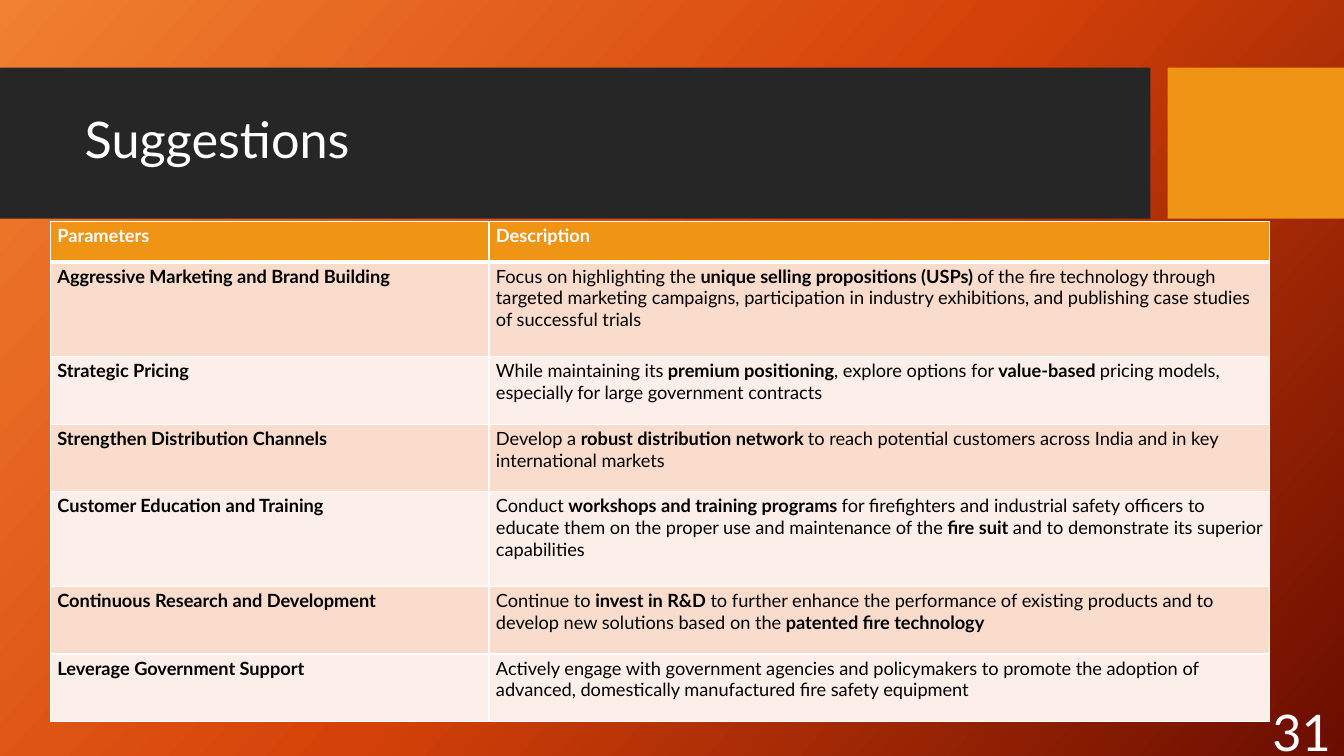
from copy import deepcopy

from lxml.etree import SubElement
from pptx import Presentation
from pptx.dml.color import RGBColor
from pptx.enum.shapes import MSO_SHAPE
from pptx.enum.text import MSO_ANCHOR, PP_ALIGN
from pptx.oxml.ns import qn
from pptx.util import Inches, Pt

FONT = "Lato"
WHITE = RGBColor(0xFF, 0xFF, 0xFF)
BLACK = RGBColor(0x00, 0x00, 0x00)
CHARCOAL = RGBColor(0x26, 0x26, 0x26)
AMBER = RGBColor(0xF0, 0x94, 0x15)
PEACH = RGBColor(0xF9, 0xDC, 0xCC)
PALE_PEACH = RGBColor(0xFC, 0xEE, 0xE8)
BACKGROUND_STOPS = [
    (0, RGBColor(0xF1, 0x80, 0x31)),
    (0.5, RGBColor(0xD5, 0x42, 0x09)),
    (1, RGBColor(0x6A, 0x0D, 0x00)),
]

COLUMN_WIDTHS = [4.35, 7.74]
ROW_HEIGHTS = [0.4, 0.94, 0.67, 0.67, 0.94, 0.67, 0.67]
HEADINGS = ["Parameters", "Description"]
# Text between asterisks is bold
SUGGESTIONS = [
    ("Aggressive Marketing and Brand Building",
     "Focus on highlighting the *unique selling propositions (USPs) *of the fire technology "
     "through targeted marketing campaigns, participation in industry exhibitions, and "
     "publishing case studies of successful trials"),
    ("Strategic Pricing",
     "While maintaining its *premium positioning*, explore options for *value-based *pricing "
     "models, especially for large government contracts"),
    ("Strengthen Distribution Channels",
     "Develop a *robust distribution network *to reach potential customers across India and "
     "in key international markets"),
    ("Customer Education and Training",
     "Conduct *workshops and training programs *for firefighters and industrial safety "
     "officers to educate them on the proper use and maintenance of the *fire suit *and to "
     "demonstrate its superior capabilities"),
    ("Continuous Research and Development",
     "Continue to *invest in R&D* to further enhance the performance of existing products "
     "and to develop new solutions based on the *patented fire technology*"),
    ("Leverage Government Support",
     "Actively engage with government agencies and policymakers to promote the adoption of "
     "advanced, domestically manufactured fire safety equipment"),
]


def format_font(font, size, color, bold=False):
    font.name = FONT
    font.size = Pt(size)
    font.color.rgb = color
    font.bold = bold


def paint_background(slide):
    fill = slide.background.fill
    fill.gradient()
    fill.gradient_angle = 318
    stop_list = next(slide.element.iter(qn("a:gsLst")))
    stop_list.append(deepcopy(stop_list[0]))
    for stop, (position, color) in zip(fill.gradient_stops, BACKGROUND_STOPS):
        stop.position = position
        stop.color.rgb = color


def add_block(slide, left, top, width, height, color):
    shape = slide.shapes.add_shape(
        MSO_SHAPE.RECTANGLE, Inches(left), Inches(top), Inches(width), Inches(height))
    shape.shadow.inherit = False
    shape.fill.solid()
    shape.fill.fore_color.rgb = color
    shape.line.fill.background()
    return shape


def add_title_band(slide, top, height):
    # Dark band and amber tab, kept behind the title
    band = add_block(slide, 0, top, 11.41, height, CHARCOAL)
    tab = add_block(slide, 11.58, top, 1.75, height, AMBER)
    title = slide.shapes.title
    tab.element.addnext(title.element)

    title.left, title.top = Inches(0.74), Inches(top + 0.15)
    title.width, title.height = band.width - Inches(0.9), Inches(1.18)
    text_frame = title.text_frame
    text_frame.text = "Suggestions"
    text_frame.vertical_anchor = MSO_ANCHOR.MIDDLE
    paragraph = text_frame.paragraphs[0]
    paragraph.alignment = PP_ALIGN.LEFT
    paragraph.line_spacing = 0.9
    format_font(paragraph.runs[0].font, 36, WHITE)


def set_borders(cell, top_width, bottom_width):
    properties = cell._tc.get_or_add_tcPr()
    widths = [("a:lnL", 1), ("a:lnR", 1), ("a:lnT", top_width), ("a:lnB", bottom_width)]
    for index, (tag, width) in enumerate(widths):
        line = SubElement(properties, qn(tag), w=str(Pt(width)))
        solid_fill = SubElement(line, qn("a:solidFill"))
        SubElement(solid_fill, qn("a:srgbClr"), val=str(WHITE))
        properties.insert(index, line)


def fill_cell(cell, marked_text, color, text_color):
    cell.margin_left = cell.margin_right = Inches(0.07)
    cell.margin_top = cell.margin_bottom = Inches(0.03)
    cell.fill.solid()
    cell.fill.fore_color.rgb = color
    paragraph = cell.text_frame.paragraphs[0]
    for index, part in enumerate(marked_text.split("*")):
        if part:
            run = paragraph.add_run()
            run.text = part
            format_font(run.font, 13, text_color, bold=index % 2 == 1)


def add_suggestions_table(slide, left, top):
    rows = [[f"*{heading}*" for heading in HEADINGS]]
    rows += [[f"*{parameter}*", description] for parameter, description in SUGGESTIONS]
    table = slide.shapes.add_table(
        len(rows), len(COLUMN_WIDTHS), Inches(left), Inches(top),
        Inches(sum(COLUMN_WIDTHS)), Inches(sum(ROW_HEIGHTS))).table
    for column, width in zip(table.columns, COLUMN_WIDTHS):
        column.width = Inches(width)
    for row, height in zip(table.rows, ROW_HEIGHTS):
        row.height = Inches(height)

    for row_index, texts in enumerate(rows):
        is_header = row_index == 0
        band_color = PEACH if row_index % 2 else PALE_PEACH
        for column_index, text in enumerate(texts):
            cell = table.cell(row_index, column_index)
            fill_cell(cell, text, AMBER if is_header else band_color,
                      WHITE if is_header else BLACK)
            # The rule below the header is thicker
            set_borders(cell, 3 if row_index == 1 else 1, 3 if is_header else 1)


def add_page_number(slide, left, top, width, height):
    box = slide.shapes.add_textbox(Inches(left), Inches(top), Inches(width), Inches(height))
    text_frame = box.text_frame
    text_frame.word_wrap = True
    text_frame.vertical_anchor = MSO_ANCHOR.MIDDLE
    text_frame.text = "31"
    format_font(text_frame.paragraphs[0].runs[0].font, 36, WHITE)


def main():
    presentation = Presentation()
    presentation.slide_width = Inches(13.33)
    presentation.slide_height = Inches(7.5)
    slide = presentation.slides.add_slide(presentation.slide_layouts.get_by_name("Title Only"))
    paint_background(slide)
    add_title_band(slide, top=0.67, height=1.5)
    add_suggestions_table(slide, left=0.5, top=2.2)
    add_page_number(slide, left=12.52, top=7.16, width=0.81, height=0.19)
    presentation.save("out.pptx")


if __name__ == "__main__":
    main()
